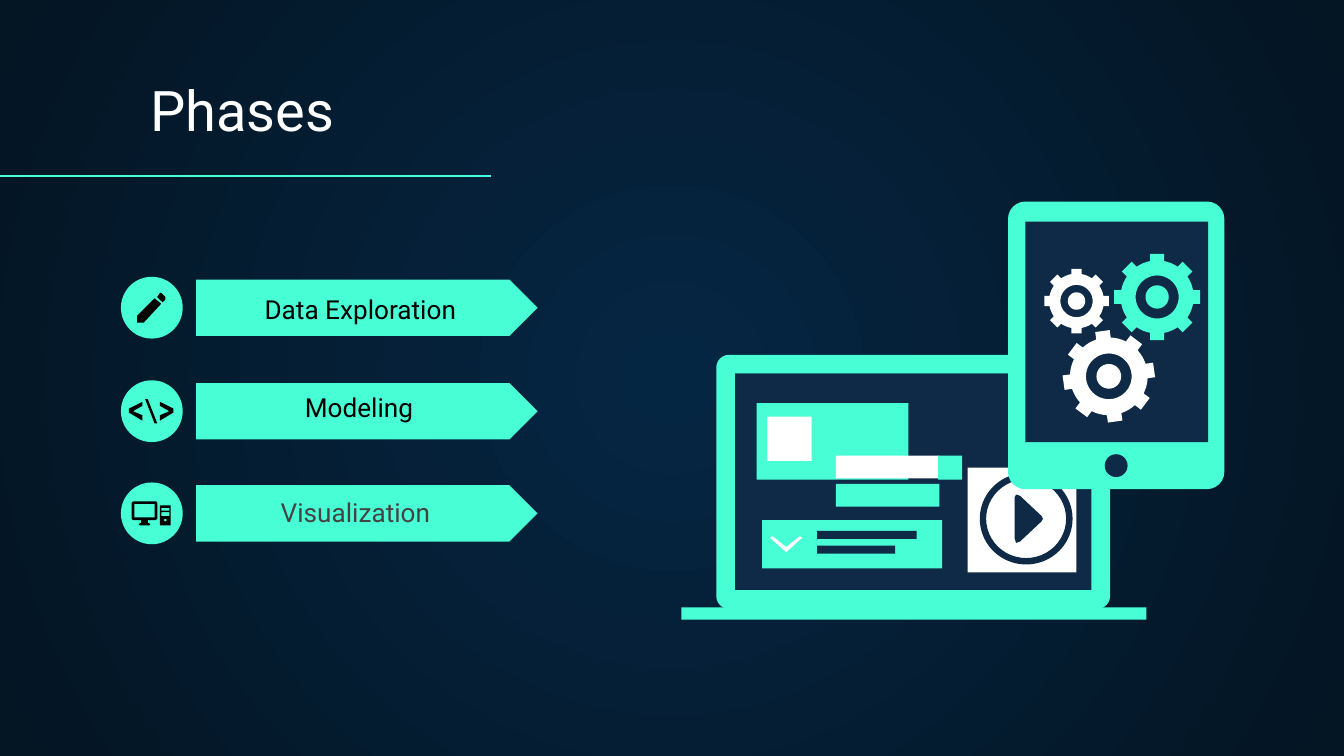
import math
from dataclasses import dataclass

from lxml import etree
from pptx import Presentation
from pptx import util as u
from pptx.dml.color import RGBColor
from pptx.enum import shapes, text
from pptx.oxml.ns import qn

MINT, NAVY, WHITE, BLACK, GRAY = "48FFD5", "0E2A47", "FFFFFF", "000000", "434343"
RECT, OVAL = shapes.MSO_SHAPE.RECTANGLE, shapes.MSO_SHAPE.OVAL
TOP, BOTTOM = text.MSO_ANCHOR.TOP, text.MSO_ANCHOR.BOTTOM

Point = tuple[float, float]
Contour = list[Point]


@dataclass
class Label:
    words: str
    left: float
    top: float
    width: float
    height: float
    size: int = 14
    color: str = BLACK
    anchor: text.MSO_ANCHOR = TOP


@dataclass
class Panel:
    left: float
    top: float
    width: float
    height: float
    color: str


@dataclass
class Gear:
    x: float
    y: float
    radius: float
    color: str
    tilt: float = 0


def rgb(value: str) -> RGBColor:
    return RGBColor.from_string(value)


def paint(shape, color: str):
    shape.shadow.inherit = False
    shape.fill.solid()
    shape.fill.fore_color.rgb = rgb(color)
    shape.line.fill.background()
    return shape


def add_preset(page, kind, left: float, top: float, width: float, height: float,
               color: str, adjust: float | None = None):
    box = (u.Inches(value) for value in (left, top, width, height))
    shape = paint(page.shapes.add_shape(kind, *box), color)
    if adjust is not None:
        shape.adjustments[0] = adjust
    return shape


def add_outline(page, contours: list[Contour], color: str):
    """Draw one filled shape; inner contours cut holes."""
    contours = [[(u.Inches(x), u.Inches(y)) for x, y in contour] for contour in contours]
    builder = page.shapes.build_freeform(*contours[0][0])
    for index, contour in enumerate(contours):
        if index:
            builder.move_to(*contour[0])
        builder.add_line_segments(contour[1:], close=True)
    return paint(builder.convert_to_shape(), color)


def rectangle(left: float, top: float, right: float, bottom: float) -> Contour:
    return [(left, top), (right, top), (right, bottom), (left, bottom)]


def circle(x: float, y: float, radius: float, steps: int = 48) -> Contour:
    angles = [math.tau * step / steps for step in range(steps)]
    return [(x + radius * math.cos(a), y + radius * math.sin(a)) for a in angles]


def add_gear(page, gear: Gear, teeth: int = 8):
    """Draw a toothed wheel with a ring-shaped hole around its hub."""
    body, half_tooth = 0.85, 0.16
    pitch = math.tau / teeth
    root, tip = math.asin(half_tooth / body), math.atan(half_tooth)
    gap = pitch - 2 * root
    profile = [(body, -root), (math.hypot(1, half_tooth), -tip),
               (math.hypot(1, half_tooth), tip)]
    profile += [(body, root + gap * step / 4) for step in range(4)]
    rim = []
    for tooth in range(teeth):
        start = math.radians(gear.tilt - 90) + tooth * pitch
        rim += [(gear.x + gear.radius * reach * math.cos(start + turn),
                 gear.y + gear.radius * reach * math.sin(start + turn))
                for reach, turn in profile]
    hole = circle(gear.x, gear.y, gear.radius * 0.5)
    hub = circle(gear.x, gear.y, gear.radius * 0.27)
    add_outline(page, [rim, hole, hub], gear.color)


def add_label(page, label: Label):
    box = page.shapes.add_textbox(u.Inches(label.left), u.Inches(label.top),
                                  u.Inches(label.width), u.Inches(label.height))
    frame = box.text_frame
    frame.word_wrap = True
    frame.vertical_anchor = label.anchor
    frame.margin_left = frame.margin_right = u.Inches(0.1)
    frame.margin_top = frame.margin_bottom = u.Inches(0.1)
    span = frame.paragraphs[0].add_run()
    span.text = label.words
    span.font.name = "Roboto"
    span.font.size = u.Pt(label.size)
    span.font.color.rgb = rgb(label.color)


def set_background(page):
    fill = page.background.fill
    fill.gradient()
    for stop, color in zip(fill.gradient_stops, ("052643", "041523")):
        stop.color.rgb = rgb(color)
    linear = next(page.background._cSld.iter(qn("a:lin")))
    radial = etree.Element(qn("a:path"), {"path": "circle"})
    etree.SubElement(radial, qn("a:fillToRect"), dict.fromkeys("ltrb", "50000"))
    linear.getparent().replace(linear, radial)


def add_title_rule(page):
    rule = page.shapes.add_connector(shapes.MSO_CONNECTOR.STRAIGHT, 0, u.Inches(1.31),
                                     u.Inches(3.65), u.Inches(1.31))
    rule.line.color.rgb = rgb(MINT)
    rule.line.width = u.Pt(0.75)
    etree.SubElement(rule._element.spPr, qn("a:effectLst"))


def add_phase_icons(page):
    pencil_tip = [(1.15, 2.22), (1.02, 2.35), (1.02, 2.4), (1.07, 2.4), (1.2, 2.26)]
    pencil_end = [(1.19, 2.18), (1.2, 2.18), (1.23, 2.21), (1.23, 2.23), (1.21, 2.25),
                  (1.17, 2.21)]
    add_outline(page, [pencil_tip, pencil_end], BLACK)

    bracket = [(1.06, 2.99), (0.96, 3.04), (0.96, 3.07), (1.06, 3.13), (1.06, 3.09),
               (0.99, 3.06), (1.06, 3.02)]
    add_outline(page, [bracket], BLACK)
    add_outline(page, [[(2.25 - x, y) for x, y in bracket]], BLACK)
    add_outline(page, [[(1.08, 2.97), (1.1, 2.97), (1.17, 3.15), (1.15, 3.15)]], BLACK)

    monitor = [(0.99, 3.73), (1.16, 3.73), (1.17, 3.74), (1.17, 3.86), (1.16, 3.87),
               (1.1, 3.87), (1.1, 3.89), (1.12, 3.9), (1.11, 3.91), (1.04, 3.91),
               (1.03, 3.9), (1.05, 3.89), (1.05, 3.87), (0.99, 3.87), (0.98, 3.86),
               (0.98, 3.74)]
    add_outline(page, [monitor, rectangle(1, 3.75, 1.15, 3.85)], BLACK)
    tower = [rectangle(1.19, 3.76, 1.27, 3.91), rectangle(1.2, 3.78, 1.26, 3.8),
             rectangle(1.2, 3.81, 1.26, 3.84), circle(1.23, 3.87, 0.01)]
    add_outline(page, tower, BLACK)


def add_laptop(page):
    rounded = shapes.MSO_SHAPE.ROUNDED_RECTANGLE
    add_preset(page, rounded, 5.33, 2.64, 2.93, 1.89, MINT, 0.05)
    for panel in (
        Panel(5.47, 2.78, 2.65, 1.61, NAVY),
        Panel(5.07, 4.52, 3.46, 0.09, MINT),
        Panel(5.47, 2.78, 2.65, 0.15, NAVY),
        Panel(5.63, 3, 1.13, 0.57, MINT),
        Panel(5.71, 3.1, 0.33, 0.33, WHITE),
        Panel(6.02, 3.87, 0.99, 0.36, MINT),
        Panel(6.08, 3.95, 0.74, 0.06, NAVY),
        Panel(6.08, 4.06, 0.58, 0.06, NAVY),
        Panel(5.67, 3.87, 0.35, 0.36, MINT),
        Panel(6.22, 3.6, 0.77, 0.17, MINT),
        Panel(6.22, 3.39, 0.77, 0.17, WHITE),
        Panel(6.98, 3.39, 0.18, 0.18, MINT),
        Panel(7.2, 3.48, 0.81, 0.78, WHITE),
    ):
        add_preset(page, RECT, panel.left, panel.top, panel.width, panel.height, panel.color)
    chevron = [(5.75, 3.99), (5.85, 4.07), (5.95, 3.99), (5.97, 4), (5.96, 4.01),
               (5.86, 4.1), (5.85, 4.11), (5.84, 4.1), (5.74, 4.01), (5.73, 4)]
    add_outline(page, [chevron], WHITE)
    add_preset(page, shapes.MSO_SHAPE.DONUT, 7.29, 3.52, 0.69, 0.68, NAVY, 0.07)
    play = [(7.55, 3.7), (7.56, 3.68), (7.59, 3.69), (7.75, 3.84), (7.76, 3.86),
            (7.75, 3.88), (7.59, 4.03), (7.56, 4.04), (7.55, 4.01)]
    add_outline(page, [play], NAVY)


def add_tablet(page):
    rounded = shapes.MSO_SHAPE.ROUNDED_RECTANGLE
    add_preset(page, rounded, 7.5, 1.5, 1.61, 2.14, MINT, 0.08)
    add_preset(page, RECT, 7.63, 1.65, 1.36, 1.64, NAVY)
    add_preset(page, OVAL, 8.22, 3.38, 0.17, 0.17, NAVY)
    for gear in (Gear(8.61, 2.21, 0.32, MINT), Gear(8.01, 2.24, 0.24, WHITE),
                 Gear(8.25, 2.8, 0.34, WHITE, -8)):
        add_gear(page, gear)


def main():
    deck = Presentation()
    deck.slide_width = u.Inches(10)
    deck.slide_height = deck.slide_width * 9 // 16
    page = deck.slides.add_slide(deck.slide_layouts[6])
    set_background(page)
    add_title_rule(page)
    for top in (2.08, 2.85, 3.61):
        add_preset(page, shapes.MSO_SHAPE.PENTAGON, 1.46, top, 2.54, 0.42, MINT, 0.5)
        add_preset(page, OVAL, 0.9, top - 0.02, 0.46, 0.46, MINT)
    add_phase_icons(page)
    add_laptop(page)
    add_tablet(page)
    for label in (
        Label("Phases", 1.02, 0.5, 8.57, 0.66, 30, WHITE, BOTTOM),
        Label("Data Exploration", 1.87, 2.08, 2.05, 0.21),
        Label("Modeling", 2.17, 2.81, 1.8, 0.21),
        Label("Visualization", 1.99, 3.82, 2.27, 0.21, color=GRAY, anchor=BOTTOM),
    ):
        add_label(page, label)
    deck.save("out.pptx")


if __name__ == "__main__":
    main()
